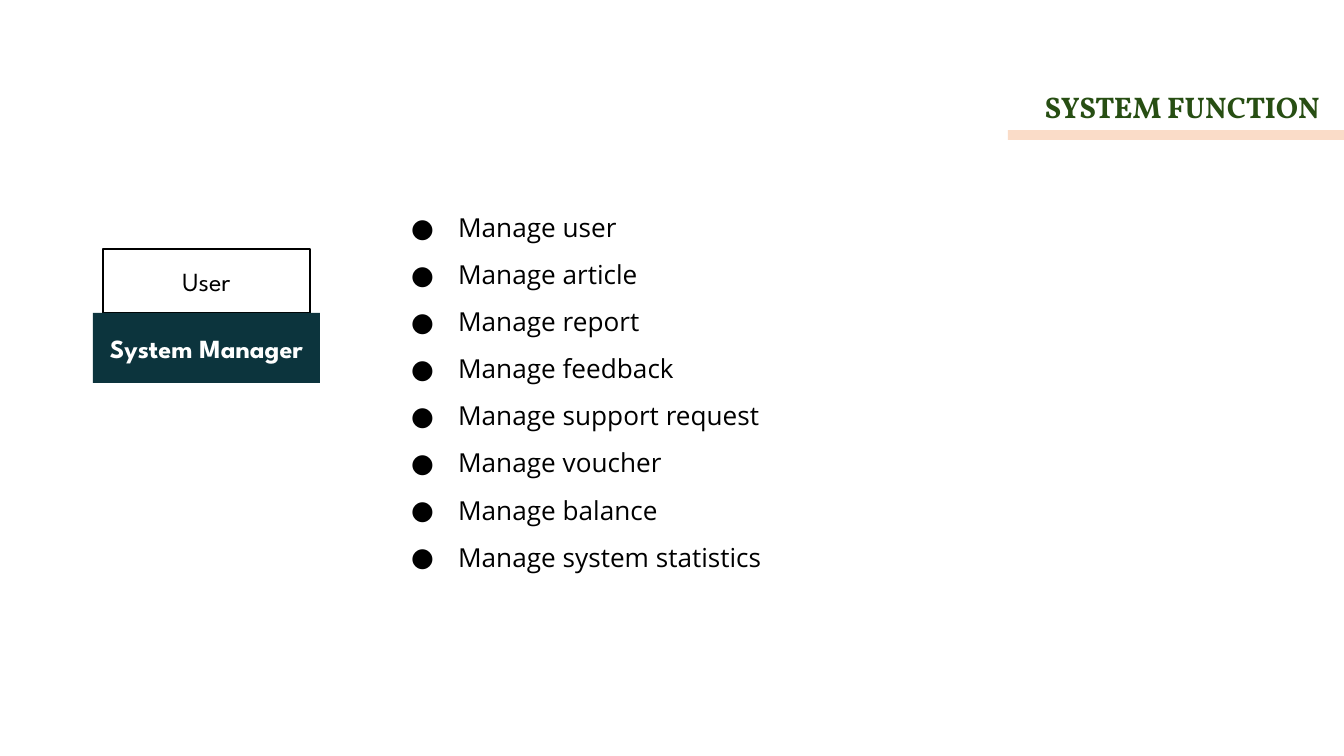
"""Build the system manager function slide."""
import lxml.etree
import pptx
import pptx.dml.color
import pptx.enum.shapes
import pptx.enum.text
import pptx.oxml.ns
import pptx.util

GREEN = pptx.dml.color.RGBColor(0x27, 0x4E, 0x13)
TEAL = pptx.dml.color.RGBColor(0x0C, 0x34, 0x3D)
PEACH = pptx.dml.color.RGBColor(0xFA, 0xDC, 0xC8)
WHITE = pptx.dml.color.RGBColor(0xFF, 0xFF, 0xFF)
BLACK = pptx.dml.color.RGBColor(0x00, 0x00, 0x00)

ALIGN = pptx.enum.text.PP_ALIGN
ANCHOR = pptx.enum.text.MSO_ANCHOR

FUNCTIONS = [
    "Manage user",
    "Manage article",
    "Manage report",
    "Manage feedback",
    "Manage support request",
    "Manage voucher",
    "Manage balance",
    "Manage system statistics",
]


class SlideBuilder:
    title_font = "Vollkorn"
    label_font = "League Spartan"
    body_font = "Open Sans"
    inset = 13

    def __init__(self, deck):
        self.page = deck.slides.add_slide(deck.slide_layouts[1])

    @staticmethod
    def px(length):
        return pptx.util.Inches(length / 134.4)

    def style(self, para, font, size, color, bold=False):
        for span in para.runs:
            span.font.name = font
            span.font.size = pptx.util.Pt(size)
            span.font.color.rgb = color
            span.font.bold = bold

    def place(self, box, left, top, width, height):
        box.left, box.top = self.px(left), self.px(top)
        box.width, box.height = self.px(width), self.px(height)
        frame = box.text_frame
        frame.word_wrap = True
        frame.auto_size = pptx.enum.text.MSO_AUTO_SIZE.NONE
        frame.vertical_anchor = ANCHOR.TOP
        frame.margin_left = frame.margin_right = self.px(self.inset)
        frame.margin_top = frame.margin_bottom = self.px(self.inset)
        return frame

    def title(self, text, *bounds):
        frame = self.place(self.page.shapes.title, *bounds)
        frame.text = text
        para = frame.paragraphs[0]
        para.alignment = ALIGN.RIGHT
        self.style(para, self.title_font, 16, GREEN, bold=True)

    def bullets(self, items, *bounds):
        frame = self.place(self.page.placeholders[1], *bounds)
        frame.text = "\n".join(items)
        for para in frame.paragraphs:
            self.bullet(para)
            para.line_spacing = 1.5
            para.space_before = pptx.util.Pt(0)
            self.style(para, self.body_font, 14, BLACK)

    def bullet(self, para):
        qn = pptx.oxml.ns.qn
        props = para._p.get_or_add_pPr()
        props.set("marL", str(self.px(67)))
        props.set("indent", str(self.px(-47)))
        color = lxml.etree.SubElement(props, qn("a:buClr"))
        lxml.etree.SubElement(color, qn("a:srgbClr"), val=str(BLACK))
        lxml.etree.SubElement(props, qn("a:buFont"), typeface=self.body_font)
        lxml.etree.SubElement(props, qn("a:buChar"), char="●")

    def rectangle(self, fill, left, top, width, height, line=None):
        box = self.page.shapes.add_shape(
            pptx.enum.shapes.MSO_SHAPE.RECTANGLE,
            self.px(left), self.px(top), self.px(width), self.px(height))
        box.shadow.inherit = False
        box.fill.solid()
        box.fill.fore_color.rgb = fill
        if line is None:
            box.line.fill.background()
        else:
            box.line.color.rgb = line
            box.line.width = pptx.util.Pt(1)
        return box

    def label(self, box, text, color, bold=False):
        frame = box.text_frame
        frame.word_wrap = True
        frame.vertical_anchor = ANCHOR.MIDDLE
        frame.text = text
        para = frame.paragraphs[0]
        para.alignment = ALIGN.CENTER
        self.style(para, self.label_font, 14, color, bold)


def main():
    deck = pptx.Presentation()
    deck.slide_width = SlideBuilder.px(1344)
    deck.slide_height = SlideBuilder.px(756)
    slide = SlideBuilder(deck)
    slide.title("SYSTEM FUNCTION", 1000, 76, 333, 61)
    user = slide.rectangle(WHITE, 103, 249, 207, 64, line=BLACK)
    slide.label(user, "User", BLACK)
    manager = slide.rectangle(TEAL, 93, 313, 227, 70)
    slide.label(manager, "System Manager", WHITE, bold=True)
    slide.bullets(FUNCTIONS, 378, 183, 797, 486)
    slide.rectangle(PEACH, 1008, 130, 336, 10)
    deck.save("out.pptx")


if __name__ == "__main__":
    main()
